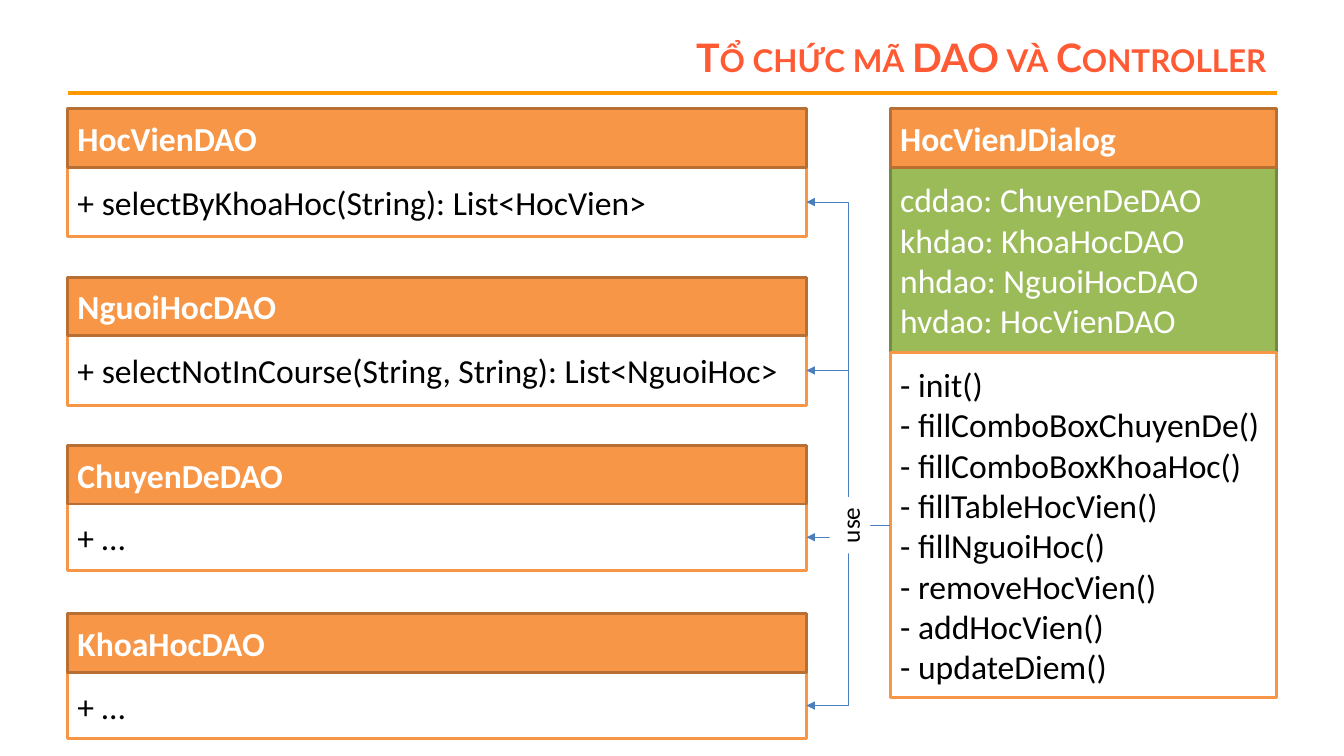
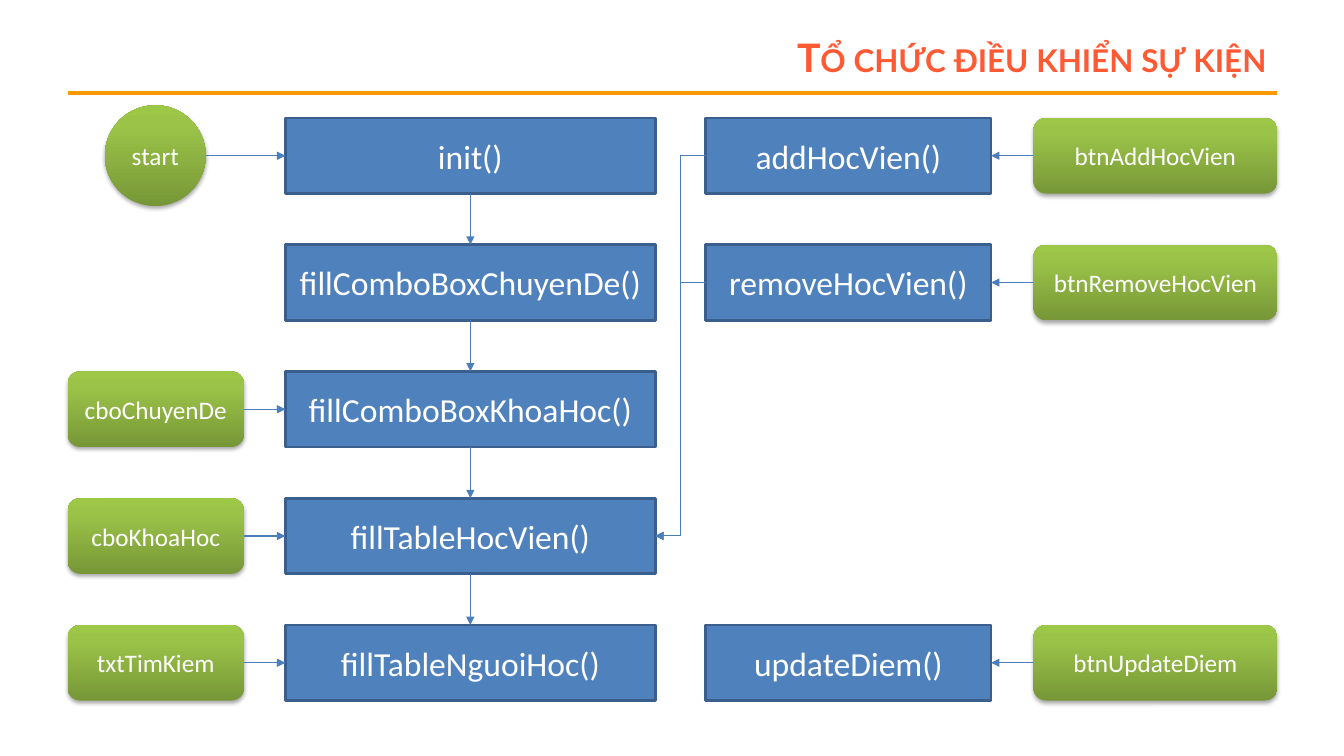
from lxml import etree
from pptx import Presentation
from pptx.dml.color import RGBColor
from pptx.enum.shapes import MSO_CONNECTOR, MSO_SHAPE
from pptx.enum.text import MSO_ANCHOR, PP_ALIGN
from pptx.oxml import parse_xml
from pptx.oxml.ns import nsdecls, qn
from pptx.util import Inches, Pt

RECT, ROUND, OVAL = MSO_SHAPE.RECTANGLE, MSO_SHAPE.ROUNDED_RECTANGLE, MSO_SHAPE.OVAL
STRAIGHT, ELBOW = MSO_CONNECTOR.STRAIGHT, MSO_CONNECTOR.ELBOW
LEFT, CENTER, RIGHT = PP_ALIGN.LEFT, PP_ALIGN.CENTER, PP_ALIGN.RIGHT
MIDDLE = MSO_ANCHOR.MIDDLE
SIDES = TOP_SIDE, LEFT_SIDE, BOTTOM_SIDE, RIGHT_SIDE = range(4)

WIDTH, HEIGHT = 13.33, 7.5
MARGIN = 0.67
EDGE = 12.67  # right end of the content

# Fill, line and font of each kind of box
HEADER = dict(fill="F79646", line="B76F34", font=dict(size=24, bold=True, color="FFFFFF"))
FIELDS = dict(fill="9BBB59", line="738A42", font=dict(size=24, color="FFFFFF"))
METHODS = dict(fill="FFFFFF", line="F79646", font=dict(size=24, color="000000"))
STEP = dict(fill="4F81BD", line="3A5F8C", font=dict(size=24, color="FFFFFF"), align=CENTER)
EVENT = dict(font=dict(size=18, color="FFFFFF"), align=CENTER)
LABEL = dict(fill="FFFFFF", font=dict(size=18, color="000000"), align=CENTER)
TITLE = dict(size=28, bold=True, name="Lato", color="FF5A33")
RULE, ARROW = ("FF9900", 3), ("4B7EBC", 0.75)
GLOSS = [(0, "779737"), (80, "9BC348"), (100, "9DC746")]

# Slide 1: class name, methods, height of the methods box
DAO_TITLE = "Tổ chức mã DAO và Controller"
DAOS = [
    ("HocVienDAO", "+ selectByKhoaHoc(String): List<HocVien>", 0.69),
    ("NguoiHocDAO", "+ selectNotInCourse(String, String): List<NguoiHoc>", 0.69),
    ("ChuyenDeDAO", "+ …", 0.66),
    ("KhoaHocDAO", "+ …", 0.66),
]
DIALOG = "HocVienJDialog"
DIALOG_FIELDS = ["cddao: ChuyenDeDAO", "khdao: KhoaHocDAO",
                 "nhdao: NguoiHocDAO", "hvdao: HocVienDAO"]
DIALOG_METHODS = ["- init()", "- fillComboBoxChuyenDe()", "- fillComboBoxKhoaHoc()",
                  "- fillTableHocVien()", "- fillNguoiHoc()", "- removeHocVien()",
                  "- addHocVien()", "- updateDiem()"]

# Slide 2: each dict maps a grid row to its text
EVENT_TITLE = "Tổ chức điều khiển sự kiện"
STEPS = ["init()", "fillComboBoxChuyenDe()", "fillComboBoxKhoaHoc()",
         "fillTableHocVien()", "fillTableNguoiHoc()"]
INPUTS = {2: "cboChuyenDe", 3: "cboKhoaHoc", 4: "txtTimKiem"}
ACTIONS = {0: "addHocVien()", 1: "removeHocVien()", 4: "updateDiem()"}
BUTTONS = {0: "btnAddHocVien", 1: "btnRemoveHocVien", 4: "btnUpdateDiem"}
TABLE_ROW = 3
REFRESHING = (0, 1)  # action rows that refill the table


def rgb(value):
    return RGBColor.from_string(value)


def write(tf, lines, font, align=LEFT):
    tf.vertical_anchor = MIDDLE
    for i, text in enumerate(lines):
        p = tf.paragraphs[0] if i == 0 else tf.add_paragraph()
        p.alignment = align
        r = p.add_run()
        r.text = text
        style = {"name": "Calibri", **font, "size": Pt(font["size"])}
        r.font.color.rgb = rgb(style.pop("color"))
        for key, value in style.items():
            setattr(r.font, key, value)


def add_gloss(sp):
    """Vertical gradient with a soft shadow below."""
    stops = "".join(f'<a:gs pos="{pos * 1000}"><a:srgbClr val="{color}"/></a:gs>'
                    for pos, color in GLOSS)
    grad = parse_xml(f'<a:gradFill {nsdecls("a")} rotWithShape="1"><a:gsLst>{stops}</a:gsLst>'
                     '<a:lin ang="16200000" scaled="0"/></a:gradFill>')
    shadow = parse_xml(f'<a:outerShdw {nsdecls("a")} blurRad="40000" dist="23000" dir="5400000" '
                       'rotWithShape="0"><a:srgbClr val="000000"><a:alpha val="35000"/>'
                       '</a:srgbClr></a:outerShdw>')
    sp_pr = sp._element.spPr
    sp_pr.find(qn("a:prstGeom")).addnext(grad)
    sp_pr.find(qn("a:effectLst")).append(shadow)


def add_box(s, at, lines, font, fill=None, line=None, align=LEFT, shape=RECT):
    sp = s.shapes.add_shape(shape, *map(Inches, at))
    sp.shadow.inherit = False
    if line:
        sp.line.color.rgb = rgb(line)
        sp.line.width = Pt(2)
    else:
        sp.line.fill.background()
    if fill:
        sp.fill.solid()
        sp.fill.fore_color.rgb = rgb(fill)
    else:
        add_gloss(sp)
    sp.text_frame.word_wrap = True
    write(sp.text_frame, lines, font, align)
    return sp


def add_line(s, kind, start, end, style, arrow=True):
    color, width = style
    line = s.shapes.add_connector(kind, *start, *end)
    line.line.color.rgb = rgb(color)
    line.line.width = Pt(width)
    sp_pr = line._element.spPr
    if arrow:
        etree.SubElement(sp_pr.find(qn("a:ln")), qn("a:tailEnd"), type="triangle")
    etree.SubElement(sp_pr, qn("a:effectLst"))
    return line


def side_middle(sp, side):
    x, y = sp.left + sp.width // 2, sp.top + sp.height // 2
    return {TOP_SIDE: (x, sp.top), LEFT_SIDE: (sp.left, y),
            BOTTOM_SIDE: (x, sp.top + sp.height), RIGHT_SIDE: (sp.left + sp.width, y)}[side]


def link(s, source, source_side, target, target_side, kind=STRAIGHT):
    line = add_line(s, kind, side_middle(source, source_side),
                    side_middle(target, target_side), ARROW)
    if kind == STRAIGHT:
        if source.auto_shape_type != OVAL:
            line.begin_connect(source, source_side)
        line.end_connect(target, target_side)


def new_slide(prs, title):
    s = prs.slides.add_slide(prs.slide_layouts[6])
    y = Inches(0.92)
    add_line(s, STRAIGHT, (Inches(MARGIN), y), (Inches(EDGE), y), RULE, arrow=False)
    tb = s.shapes.add_textbox(*map(Inches, (2.44, 0.3, 10.22, 0.53)))
    tb.text_frame.word_wrap = True
    write(tb.text_frame, [title], TITLE, RIGHT)
    tb.text_frame.paragraphs[0].runs[0].font._element.set("cap", "small")
    return s


def add_class(s, left, top, width, name, sections):
    """Stack sections under a header; return the last section."""
    header_height = 0.58
    y = top + header_height
    for lines, height, style in sections:
        sp = add_box(s, (left, y, width, height), lines, **style)
        y += height
    add_box(s, (left, top, width, header_height), [name], **HEADER)
    return sp


def build_dao_slide(prs):
    s = new_slide(prs, DAO_TITLE)
    top, pitch = 1.08, 1.67
    daos = [add_class(s, MARGIN, top + i * pitch, 7.33, name, [([method], height, METHODS)])
            for i, (name, method, height) in enumerate(DAOS)]
    dialog = add_class(s, 8.83, top, 3.83, DIALOG,
                       [(DIALOG_FIELDS, 1.84, FIELDS), (DIALOG_METHODS, 3.42, METHODS)])
    for dao in daos:
        link(s, dialog, LEFT_SIDE, dao, RIGHT_SIDE, ELBOW)
    use = add_box(s, (8.15, 5.01, 0.56, 0.4), ["use"], **LABEL)
    use.rotation = 270
    use.text_frame.word_wrap = False


def build_event_slide(prs):
    s = new_slide(prs, EVENT_TITLE)
    first, last, height = 1.17, 6.2, 0.75
    pitch = (last - first) / (len(STEPS) - 1)

    def column(left, width, texts, style, shape=RECT):
        return {row: add_box(s, (left, first + row * pitch, width, height), [text],
                             shape=shape, **style) for row, text in texts.items()}

    steps = column(2.83, 3.67, dict(enumerate(STEPS)), STEP)
    actions = column(7, 2.83, ACTIONS, STEP)
    inputs = column(MARGIN, 1.75, INPUTS, EVENT, ROUND)
    buttons = column(10.25, 2.42, BUTTONS, EVENT, ROUND)
    inputs[0] = add_box(s, (1.04, first + height / 2 - 0.5, 1, 1), ["start"],
                        shape=OVAL, **EVENT)

    # Arrows down the steps, then in from both sides
    for row in range(len(STEPS) - 1):
        link(s, steps[row], BOTTOM_SIDE, steps[row + 1], TOP_SIDE)
    for row in REFRESHING:
        link(s, actions[row], LEFT_SIDE, steps[TABLE_ROW], RIGHT_SIDE, ELBOW)
    for row, sp in inputs.items():
        link(s, sp, RIGHT_SIDE, steps[row], LEFT_SIDE)
    for row, sp in buttons.items():
        link(s, sp, LEFT_SIDE, actions[row], RIGHT_SIDE)


def main():
    prs = Presentation()
    prs.slide_width, prs.slide_height = Inches(WIDTH), Inches(HEIGHT)
    build_dao_slide(prs)
    build_event_slide(prs)
    prs.save("out.pptx")


if __name__ == "__main__":
    main()
